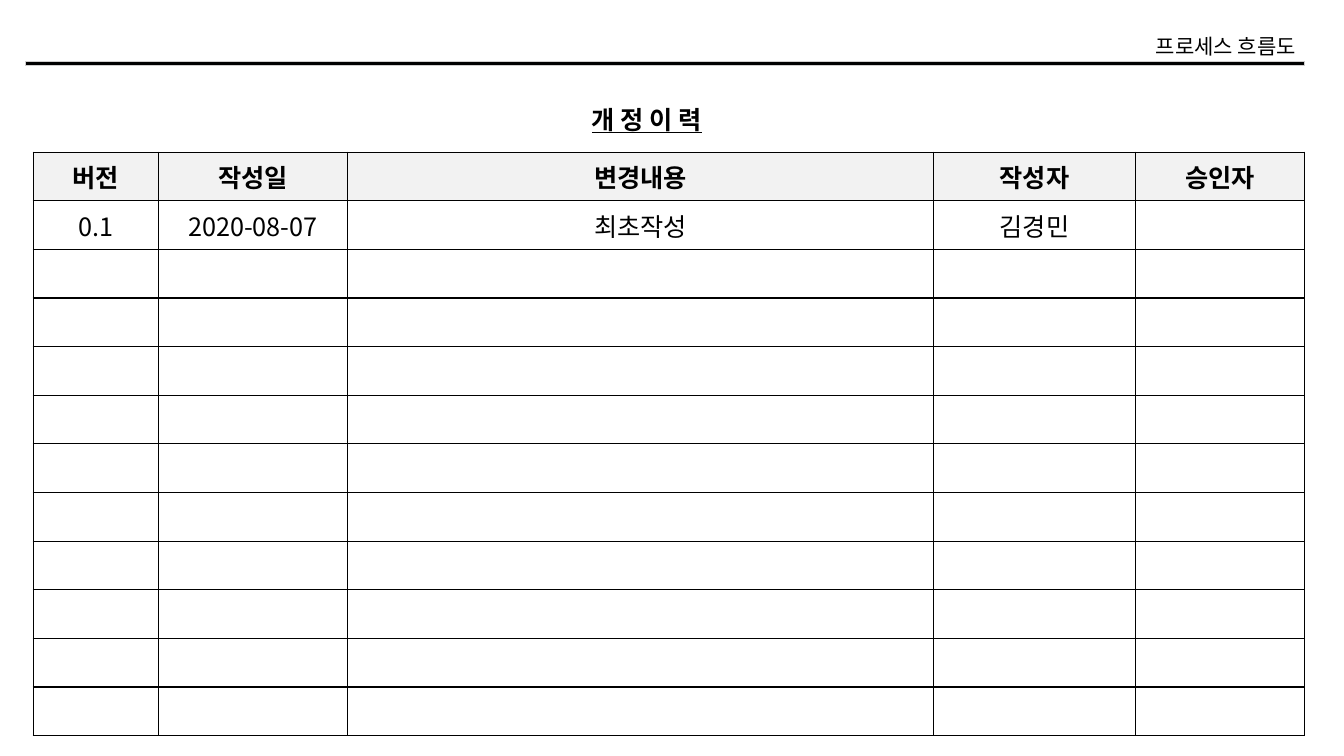
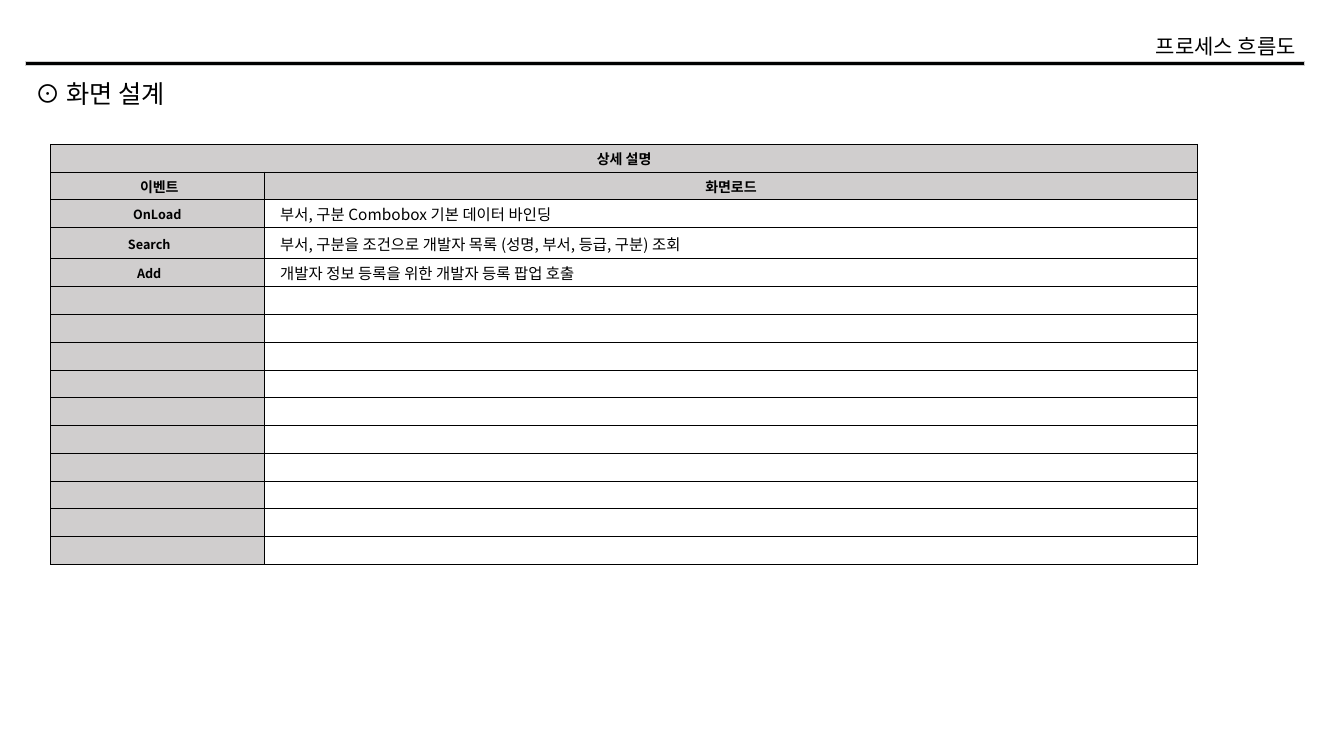
from lxml.etree import SubElement
from pptx import Presentation
from pptx.dml.color import RGBColor
from pptx.enum.shapes import MSO_SHAPE
from pptx.enum.text import MSO_ANCHOR, MSO_AUTO_SIZE, PP_ALIGN
from pptx.oxml.ns import qn
from pptx.util import Inches, Pt

BLACK = RGBColor(0x00, 0x00, 0x00)
GRAY = RGBColor(0xD0, 0xCE, 0xCE)
LIGHT_GRAY = RGBColor(0xF2, 0xF2, 0xF2)
FONT = "Noto Sans CJK KR"
HEADER_TEXT = "프로세스 흐름도"


class Deck:
    """Holds the shared style and the slide being built."""

    def __init__(self):
        self.presentation = Presentation()
        self.presentation.slide_width = Inches(13.33)
        self.presentation.slide_height = Inches(7.5)
        self.slide = None

    def add_slide(self):
        layout = self.presentation.slide_layouts.get_by_name("Title Only")
        self.slide = self.presentation.slides.add_slide(layout)
        self.add_header()

    def add_header(self):
        # Rule across the top
        rule = self.slide.shapes.add_shape(
            MSO_SHAPE.RECTANGLE, Inches(0.25), Inches(0.61), Inches(12.69), Inches(0.04))
        rule.shadow.inherit = False
        rule.fill.solid()
        rule.fill.fore_color.rgb = BLACK
        rule.line.color.rgb = GRAY
        rule.line.width = Pt(0.3)
        # Document name above it
        box = self.slide.shapes.add_textbox(
            Inches(11.2), Inches(0.28), Inches(1.75), Inches(0.35))
        self.fill_frame(box.text_frame, HEADER_TEXT, 15, PP_ALIGN.RIGHT, wrap=False)

    def add_title(self, text, left, top, width, wrap=True, **style):
        title = self.slide.shapes.title
        title.left, title.top = Inches(left), Inches(top)
        title.width, title.height = Inches(width), Inches(0.4)
        self.fill_frame(title.text_frame, text, 18, PP_ALIGN.LEFT, wrap, **style)

    def fill_frame(self, frame, text, size, align, wrap, **style):
        frame.word_wrap = wrap
        frame.auto_size = MSO_AUTO_SIZE.SHAPE_TO_FIT_TEXT
        frame.vertical_anchor = MSO_ANCHOR.TOP
        self.add_run(frame.paragraphs[0], text, size, align, **style)

    def add_run(self, paragraph, text, size, align, bold=False, underline=False):
        paragraph.alignment = align
        run = paragraph.add_run()
        run.text = text
        font = run.font
        font.name, font.size = FONT, Pt(size)
        font.bold, font.underline = bold, underline
        font.color.rgb = BLACK
        SubElement(font._element, qn("a:ea"), typeface=FONT)

    def add_table(self, left, top, widths, heights, border):
        shape = self.slide.shapes.add_table(
            len(heights), len(widths), Inches(left), Inches(top),
            Inches(sum(widths)), Inches(sum(heights)))
        table = shape.table
        table.first_row = table.horz_banding = False
        for column, width in zip(table.columns, widths):
            column.width = Inches(width)
        for row, height in zip(table.rows, heights):
            row.height = Inches(height)
        for cell in table.iter_cells():
            self.add_borders(cell, border)
        return table

    def add_borders(self, cell, width):
        properties = cell._tc.get_or_add_tcPr()
        for side in ("a:lnL", "a:lnR", "a:lnT", "a:lnB"):
            line = SubElement(properties, qn(side), w=str(Pt(width)))
            fill = SubElement(line, qn("a:solidFill"))
            SubElement(fill, qn("a:srgbClr"), val=str(BLACK))

    def set_cell(self, cell, text, size, fill=None, bold=False,
                 align=PP_ALIGN.CENTER, margins=(0.1, 0.1, 0.05, 0.05)):
        if fill is None:
            cell.fill.background()
        else:
            cell.fill.solid()
            cell.fill.fore_color.rgb = fill
        cell.vertical_anchor = MSO_ANCHOR.MIDDLE
        (cell.margin_left, cell.margin_right,
         cell.margin_top, cell.margin_bottom) = map(Inches, margins)
        paragraph = cell.text_frame.paragraphs[0]
        if text:
            self.add_run(paragraph, text, size, align, bold)
        else:
            # Keeps an empty row from growing
            SubElement(paragraph._p, qn("a:endParaRPr"), sz=str(size * 100))


def build_history(deck):
    deck.add_slide()
    deck.add_title("개 정 이 력", 5.77, 0.98, 1.67, bold=True, underline=True)
    rows = [("버전", "작성일", "변경내용", "작성자", "승인자"),
            ("0.1", "2020-08-07", "최초작성", "김경민", "")]
    row_count = 12
    rows += [("",) * 5] * (row_count - len(rows))
    table = deck.add_table(0.33, 1.51, [1.24, 1.88, 5.81, 2, 1.68],
                           [5.79 / row_count] * row_count, border=1)
    for row_index, row in enumerate(rows):
        heading = row_index == 0
        for column_index, text in enumerate(row):
            deck.set_cell(table.cell(row_index, column_index), text, 18,
                          LIGHT_GRAY if heading else None, bold=heading)


def build_screen_design(deck):
    deck.add_slide()
    deck.add_title("⊙ 화면 설계", 0.25, 0.73, 1.63, wrap=False)
    # Each event: name, right margin of the name, description
    events = [("OnLoad", 0.01, "부서, 구분 Combobox 기본 데이터 바인딩"),
              ("Search", 0.17, "부서, 구분을 조건으로 개발자 목록 (성명, 부서, 등급, 구분) 조회"),
              ("Add", 0.17, "개발자 정보 등록을 위한 개발자 등록 팝업 호출")]
    events += [("", 0.01, "")] * 10
    heights = [3.86 / 14] * 15
    heights[3] = 0.31
    table = deck.add_table(0.5, 1.43, [2.12, 9.26], heights, border=0.5)

    # Two heading rows, the first one merged
    table.cell(0, 0).merge(table.cell(0, 1))
    headings = [(0, 0, "상세 설명", 0.01), (1, 0, "이벤트", 0.05), (1, 1, "화면로드", 0.01)]
    for row, column, text, indent in headings:
        deck.set_cell(table.cell(row, column), text, 10, GRAY, bold=True,
                      margins=(indent, 0.01, 0.01, 0))

    # Event rows
    for row, (name, right, description) in enumerate(events, start=2):
        deck.set_cell(table.cell(row, 0), name, 9, GRAY, bold=True,
                      margins=(0.01, right, 0.01, 0))
        deck.set_cell(table.cell(row, 1), description, 11, align=PP_ALIGN.LEFT,
                      margins=(0.16, 0.01, 0.01, 0))


def main():
    deck = Deck()
    build_history(deck)
    build_screen_design(deck)
    deck.presentation.save("out.pptx")


if __name__ == "__main__":
    main()
